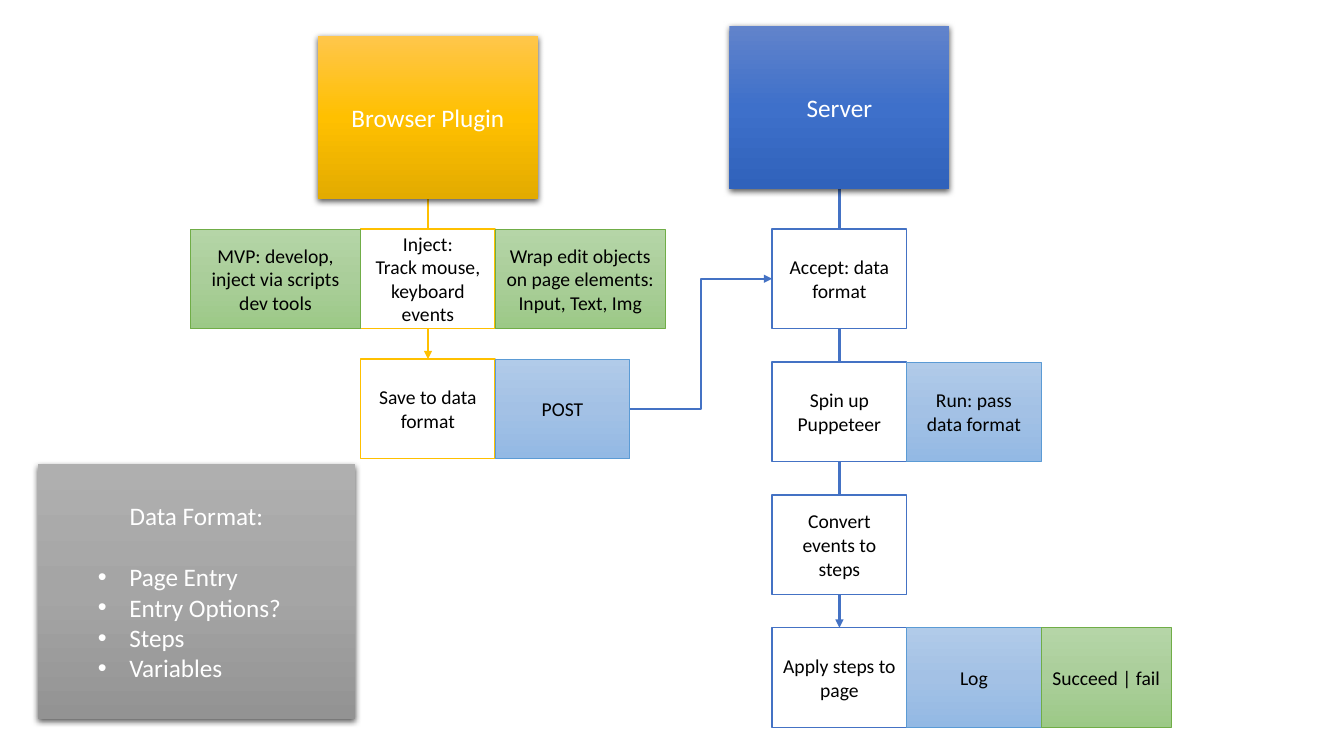
"""Build the flow slide of a plugin that records events and a server that replays them."""
import copy

import pptx
import pptx.dml.color
import pptx.enum.shapes
import pptx.enum.text
import pptx.oxml
import pptx.oxml.ns
import pptx.util

Cm = pptx.util.Cm
Pt = pptx.util.Pt
RGB = pptx.dml.color.RGBColor
qn = pptx.oxml.ns.qn
CONNECTOR = pptx.enum.shapes.MSO_CONNECTOR
ALIGN = pptx.enum.text.PP_ALIGN

WHITE = RGB(0xFF, 0xFF, 0xFF)
BLACK = RGB(0x00, 0x00, 0x00)
GOLD = RGB(0xFF, 0xC0, 0x00)
BLUE = RGB(0x44, 0x72, 0xC4)
SKY = RGB(0x5B, 0x9B, 0xD5)
GREEN = RGB(0x70, 0xAD, 0x47)
GOLD_FADE = (RGB(0xFF, 0xC6, 0x4B), GOLD, RGB(0xE3, 0xAB, 0x00))
BLUE_FADE = (RGB(0x61, 0x83, 0xCB), RGB(0x3E, 0x70, 0xCA), RGB(0x30, 0x62, 0xBB))
GREY_FADE = (RGB(0xAF, 0xAF, 0xAF), RGB(0xA5, 0xA5, 0xA5), RGB(0x93, 0x93, 0x93))
SKY_FADE = (RGB(0xB1, 0xCB, 0xE9), RGB(0xA3, 0xC1, 0xE5), RGB(0x93, 0xB9, 0xE4))
GREEN_FADE = (RGB(0xB5, 0xD5, 0xA7), RGB(0xAA, 0xCE, 0x9A), RGB(0x9C, 0xC9, 0x87))

FONT = "Calibri"
STEP_W, STEP_H = 3.39, 2.51
NOTE_W, RESULT_W = 4.29, 3.28
HEAD_W, HEAD_H = 5.54, 4.1
PLUGIN_X, SERVER_X = 9.09, 19.46
TOP = 5.77
SAVE_Y = 9.05
SERVER_PITCH = 3.35


def add_xml(parent, tag, **attrs):
    """Append a DrawingML element to parent and return it."""
    child = pptx.oxml.parse_xml(f"<{tag} {pptx.oxml.ns.nsdecls('a')}/>")
    for name, value in attrs.items():
        child.set(name, str(value))
    parent.append(child)
    return child


def fade(sp, colors):
    """Fill a shape with a three-stop gradient from top to bottom."""
    sp.fill.gradient()
    sp.fill.gradient_angle = 270
    stops = sp._element.spPr.find(".//" + qn("a:gsLst"))
    stops.append(copy.deepcopy(stops[0]))
    for i, (stop, color) in enumerate(zip(sp.fill.gradient_stops, colors)):
        stop.position = i / 2
        stop.color.rgb = color


def add_text(p, text, size, color):
    """Add one formatted run to a paragraph."""
    r = p.add_run()
    r.text = text
    r.font.name = FONT
    r.font.size = Pt(size)
    r.font.color.rgb = color


def add_box(s, x, y, w, h, lines, size, color):
    """Add a rectangle with centred paragraphs."""
    sp = s.shapes.add_shape(pptx.enum.shapes.MSO_SHAPE.RECTANGLE,
                            Cm(x), Cm(y), Cm(w), Cm(h))
    sp.shadow.inherit = False
    tf = sp.text_frame
    tf.word_wrap = True
    tf.vertical_anchor = pptx.enum.text.MSO_ANCHOR.MIDDLE
    for i, line in enumerate(lines):
        p = tf.add_paragraph() if i else tf.paragraphs[0]
        p.alignment = ALIGN.CENTER
        add_text(p, line, size, color)
    return sp


def add_step(s, x, y, outline, *lines):
    """Add a white step with a coloured outline."""
    sp = add_box(s, x, y, STEP_W, STEP_H, lines, 14, BLACK)
    sp.fill.solid()
    sp.fill.fore_color.rgb = WHITE
    sp.line.color.rgb = outline
    sp.line.width = Pt(1)
    return sp


def add_detail(s, x, y, w, colors, outline, text):
    """Add a tinted detail beside a step."""
    sp = add_box(s, x, y, w, STEP_H, [text], 14, BLACK)
    fade(sp, colors)
    sp.line.color.rgb = outline
    sp.line.width = Pt(0.5)
    return sp


def add_panel(s, x, y, w, h, colors, title):
    """Add a borderless gradient panel with a soft shadow."""
    sp = add_box(s, x, y, w, h, [title], 18, WHITE)
    fade(sp, colors)
    sp.line.fill.background()
    effects = sp._element.spPr.find(qn("a:effectLst"))
    shadow = add_xml(effects, "a:outerShdw", blurRad=Pt(4.5), dist=Pt(1.5),
                     dir=5400000, algn="ctr", rotWithShape=0)
    black = add_xml(shadow, "a:srgbClr", val="000000")
    add_xml(black, "a:alpha", val=63000)
    return sp


def add_bullets(sp, items):
    """Add bulleted lines below the title of a panel."""
    for i, item in enumerate(items):
        p = sp.text_frame.add_paragraph()
        p.alignment = ALIGN.LEFT
        p.level = 1
        p.space_before = Pt(0 if i else 22)
        pPr = p._p.get_or_add_pPr()
        pPr.set("marL", str(Cm(2.06)))
        pPr.set("indent", str(Cm(-0.79)))
        add_xml(pPr, "a:buFont", typeface="Arial")
        add_xml(pPr, "a:buChar", char="•")
        add_text(p, item, 18, WHITE)


def add_arrow(s, kind, x1, y1, x2, y2, color):
    """Add a connector with an arrowhead at its end."""
    cn = s.shapes.add_connector(kind, Cm(x1), Cm(y1), Cm(x2), Cm(y2))
    cn.line.color.rgb = color
    cn.line.width = Pt(1.5)
    add_xml(cn.line._get_or_add_ln(), "a:tailEnd", type="triangle")
    add_xml(cn._element.spPr, "a:effectLst")
    return cn


def add_column(s, x, head_y, end_y, colors, color, title):
    """Add a heading and the arrow that runs down its column."""
    mid = x + STEP_W / 2
    add_arrow(s, CONNECTOR.STRAIGHT, mid, head_y + HEAD_H, mid, end_y, color)
    add_panel(s, mid - HEAD_W / 2, head_y, HEAD_W, HEAD_H, colors, title)


def main():
    """Build and save the slide."""
    prs = pptx.Presentation()
    prs.slide_width, prs.slide_height = Cm(33.87), Cm(19.05)
    s = prs.slides.add_slide(prs.slide_layouts[6])
    rows = [TOP + i * SERVER_PITCH for i in range(4)]
    plugin_right, server_right = PLUGIN_X + STEP_W, SERVER_X + STEP_W

    add_column(s, PLUGIN_X, 0.91, SAVE_Y, GOLD_FADE, GOLD, "Browser Plugin")
    add_step(s, PLUGIN_X, TOP, GOLD, "Inject:", "Track mouse, keyboard events")
    add_step(s, PLUGIN_X, SAVE_Y, GOLD, "Save to data format")
    add_detail(s, PLUGIN_X - NOTE_W, TOP, NOTE_W, GREEN_FADE, GREEN,
               "MVP: develop, inject via scripts dev tools")
    add_detail(s, plugin_right, TOP, NOTE_W, GREEN_FADE, GREEN,
               "Wrap edit objects on page elements: Input, Text, Img")
    post = add_detail(s, plugin_right, SAVE_Y, STEP_W, SKY_FADE, SKY, "POST")

    add_column(s, SERVER_X, 0.66, rows[-1], BLUE_FADE, BLUE, "Server")
    labels = ("Accept: data format", "Spin up Puppeteer",
              "Convert events to steps", "Apply steps to page")
    steps = [add_step(s, SERVER_X, y, BLUE, label) for y, label in zip(rows, labels)]
    add_detail(s, server_right, rows[1], STEP_W, SKY_FADE, SKY, "Run: pass data format")
    add_detail(s, server_right, rows[3], STEP_W, SKY_FADE, SKY, "Log")
    add_detail(s, server_right + STEP_W, rows[3], RESULT_W, GREEN_FADE, GREEN,
               "Succeed | fail")

    request = add_arrow(s, CONNECTOR.ELBOW, plugin_right + STEP_W, SAVE_Y + STEP_H / 2,
                        SERVER_X, TOP + STEP_H / 2, BLUE)
    request.begin_connect(post, 3)
    request.end_connect(steps[0], 1)

    panel = add_panel(s, 0.95, 11.7, 8.0, 6.42, GREY_FADE, "Data Format:")
    add_bullets(panel, ("Page Entry", "Entry Options?", "Steps", "Variables"))
    prs.save("out.pptx")


main()
